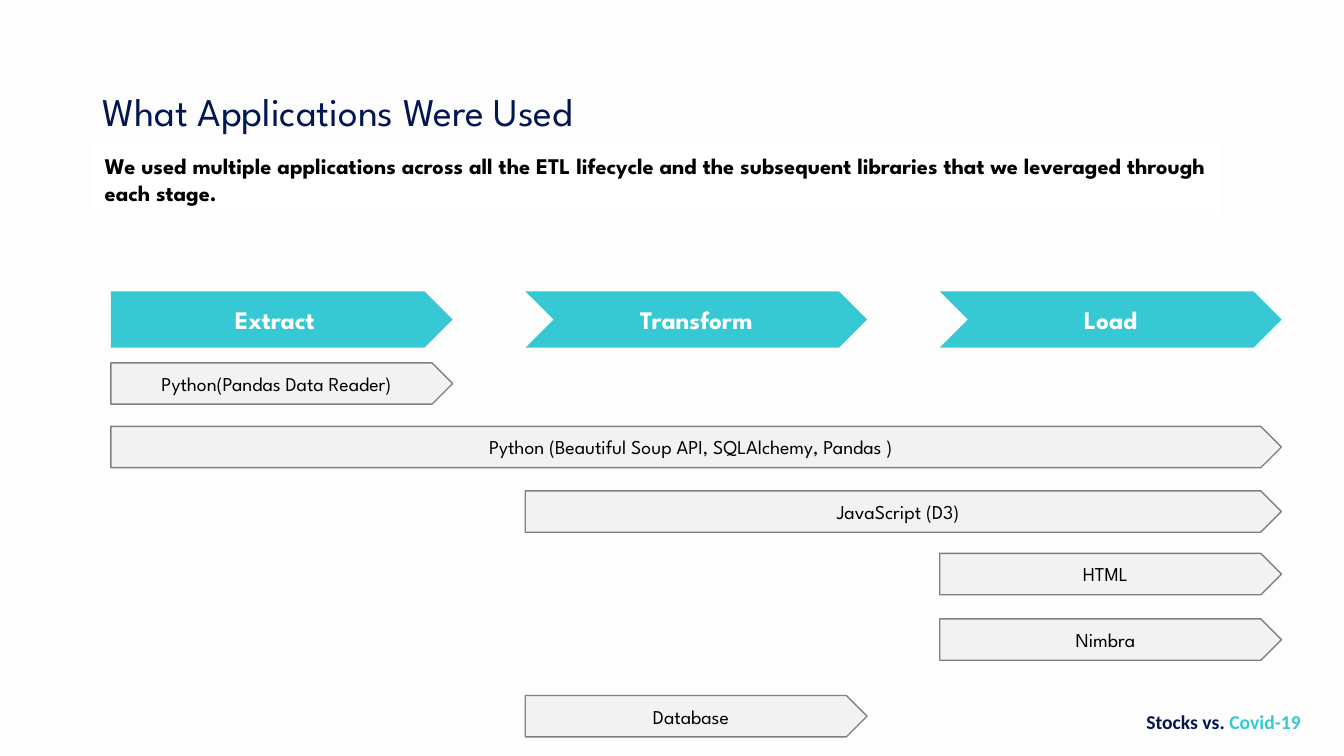
import pptx
import pptx.dml.color
import pptx.enum.shapes
import pptx.enum.text
import pptx.util

RGBColor = pptx.dml.color.RGBColor
Inches = pptx.util.Inches
MSO_SHAPE = pptx.enum.shapes.MSO_SHAPE
PP_ALIGN = pptx.enum.text.PP_ALIGN

NAVY = RGBColor(0x02, 0x16, 0x52)
TURQUOISE = RGBColor(0x36, 0xC9, 0xD4)
BACKGROUND = RGBColor(0xFD, 0xFD, 0xFD)
LIGHT_GRAY = RGBColor(0xF2, 0xF2, 0xF2)
GRAY = RGBColor(0x80, 0x80, 0x80)
WHITE = RGBColor(0xFF, 0xFF, 0xFF)
BLACK = RGBColor(0x00, 0x00, 0x00)

COLUMN_LEFT = 1.1
COLUMN_PITCH = 4.11
COLUMN_WIDTH = 3.39


def write_text(shape, *runs, size, font="League Spartan", bold=False,
               align=PP_ALIGN.CENTER, margins=(0.1, 0.05)):
    """Fill a shape with one paragraph made of (text, colour) runs."""
    frame = shape.text_frame
    frame.word_wrap = True
    frame.vertical_anchor = pptx.enum.text.MSO_ANCHOR.MIDDLE
    frame.margin_left = frame.margin_right = Inches(margins[0])
    frame.margin_top = frame.margin_bottom = Inches(margins[1])
    paragraph = frame.paragraphs[0]
    paragraph.alignment = align
    for text, color in runs:
        run = paragraph.add_run()
        run.text = text
        run.font.name = font
        run.font.size = pptx.util.Pt(size)
        run.font.bold = bold
        run.font.color.rgb = color


def add_box(slide, kind, left, top, width, height, fill, line=None):
    shape = slide.shapes.add_shape(
        kind, Inches(left), Inches(top), Inches(width), Inches(height))
    shape.shadow.inherit = False
    shape.fill.solid()
    shape.fill.fore_color.rgb = fill
    if line is None:
        shape.line.fill.background()
    else:
        shape.line.color.rgb = line
        shape.line.width = pptx.util.Pt(1)
    return shape


presentation = pptx.Presentation()
presentation.slide_width = Inches(13.33)
presentation.slide_height = Inches(7.5)
slide = presentation.slides.add_slide(presentation.slide_layouts[5])
slide.background.fill.solid()
slide.background.fill.fore_color.rgb = BACKGROUND

title = slide.shapes.title
title.left, title.top = Inches(0.92), Inches(0.4)
title.width, title.height = Inches(11.5), Inches(1.45)
write_text(title, ("What Applications Were Used", NAVY), size=28, align=PP_ALIGN.LEFT)
title.text_frame.paragraphs[0].line_spacing = 0.9

footer = slide.shapes.add_textbox(Inches(10.94), Inches(6.91), Inches(2.39), Inches(0.5))
write_text(footer, ("Stocks vs. ", NAVY), ("Covid-19", TURQUOISE),
           size=14, font="Calibri", bold=True, margins=(0.1, 0.1))

summary = add_box(slide, MSO_SHAPE.RECTANGLE, 0.94, 1.44, 11.16, 0.68, WHITE, WHITE)
write_text(summary,
           ("We used multiple applications across all the ETL lifecycle and the "
            "subsequent libraries that we leveraged through each stage.", BLACK),
           size=16, bold=True, align=PP_ALIGN.LEFT)

for column, stage in enumerate(["Extract", "Transform", "Load"]):
    kind = MSO_SHAPE.CHEVRON if column else MSO_SHAPE.PENTAGON
    arrow = add_box(slide, kind, COLUMN_LEFT + column * COLUMN_PITCH, 2.89,
                    COLUMN_WIDTH, 0.56, TURQUOISE)
    write_text(arrow, (stage, WHITE), size=18, bold=True)

# Tool, first stage column, last stage column, top
tools = [
    ("Python(Pandas Data Reader)", 0, 0, 3.6),
    ("Python (Beautiful Soup API, SQLAlchemy, Pandas )", 0, 2, 4.23),
    ("JavaScript (D3)", 1, 2, 4.87),
    ("HTML", 2, 2, 5.49),
    ("Nimbra", 2, 2, 6.14),
    ("Database", 1, 1, 6.9),
]
for tool, first, last, top in tools:
    bar = add_box(slide, MSO_SHAPE.PENTAGON, COLUMN_LEFT + first * COLUMN_PITCH, top,
                  COLUMN_WIDTH + (last - first) * COLUMN_PITCH, 0.41, LIGHT_GRAY, GRAY)
    write_text(bar, (tool, BLACK), size=14, margins=(0, 0))

presentation.save("out.pptx")
